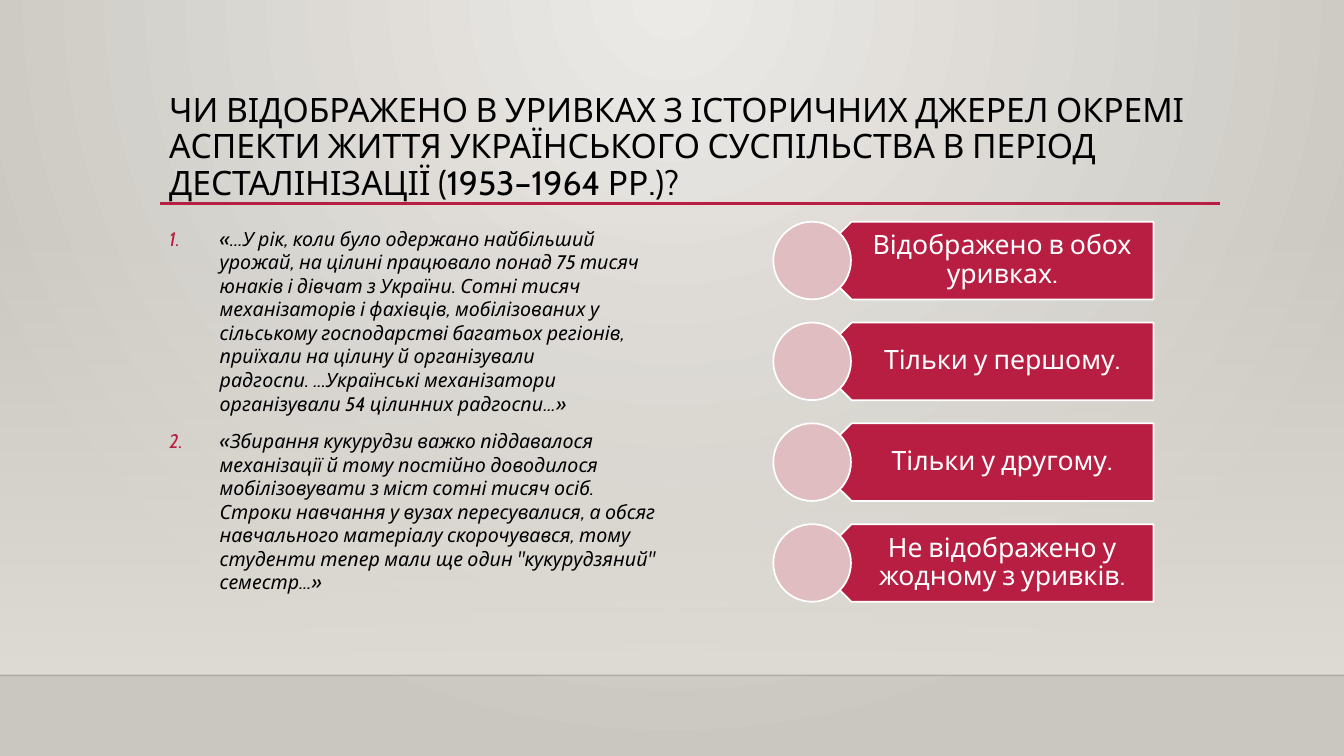
from lxml import etree
from pptx import Presentation
from pptx import util as u
from pptx.dml.color import RGBColor
from pptx.enum import shapes, text
from pptx.oxml import parse_xml
from pptx.oxml.ns import qn

TITLE = "ЧИ ВІДОБРАЖЕНО В УРИВКАХ З ІСТОРИЧНИХ ДЖЕРЕЛ ОКРЕМІ АСПЕКТИ ЖИТТЯ УКРАЇНСЬКОГО СУСПІЛЬСТВА В ПЕРІОД ДЕСТАЛІНІЗАЦІЇ (1953–1964 РР.)?"
EXCERPTS = [
    "«…У рік, коли було одержано найбільший урожай, на цілині працювало понад 75 тисяч юнаків і дівчат з України. Сотні тисяч механізаторів і фахівців, мобілізованих у сільському господарстві багатьох регіонів, приїхали на цілину й організували радгоспи. ...Українські механізатори організували 54 цілинних радгоспи...»",
    "«Збирання кукурудзи важко піддавалося механізації й тому постійно доводилося мобілізовувати з міст сотні тисяч осіб. Строки навчання у вузах пересувалися, а обсяг навчального матеріалу скорочувався, тому студенти тепер мали ще один \"кукурудзяний\" семестр...»",
]
ANSWERS = [
    "Відображено в обох уривках.",
    "Тільки у першому.",
    "Тільки у другому.",
    "Не відображено у жодному з уривків.",
]
FONT = "Cabin"
CRIMSON, PINK, WHITE, BLACK = "B71E42", "DFBDC0", "FFFFFF", "000000"
ANSWER_TOP, ANSWER_STEP, ANSWER_HEIGHT = 2.2, 1.0, 0.77
MAIN_NS = "http://schemas.openxmlformats.org/drawingml/2006/main"


def color(value):
    return RGBColor.from_string(value)


def inches(*lengths):
    return [u.Inches(length) for length in lengths]


def set_gradient(fill, parent, stops, direction):
    fill.gradient()
    stop_xml = "".join(
        f'<a:gs pos="{place * 1000}"><a:srgbClr val="{value}"><a:alpha val="{alpha * 1000}"/></a:srgbClr></a:gs>'
        for place, value, alpha in stops)
    old = parent.find(".//" + qn("a:gradFill"))
    old.getparent().replace(old, parse_xml(
        f'<a:gradFill xmlns:a="{MAIN_NS}" rotWithShape="1"><a:gsLst>{stop_xml}</a:gsLst>{direction}</a:gradFill>'))


def add_rule(slide, left, right, top, value, width, opacity=100):
    rule = slide.shapes.add_connector(shapes.MSO_CONNECTOR.STRAIGHT, *inches(left, top, right, top))
    rule.line.color.rgb = color(value)
    rule.line.width = u.Pt(width)
    properties = rule._element.spPr
    etree.SubElement(properties, qn("a:effectLst"))
    shade = properties.find(".//" + qn("a:srgbClr"))
    etree.SubElement(shade, qn("a:alpha")).set("val", str(opacity * 1000))


def add_shape(slide, kind, area, fill):
    shape = slide.shapes.add_shape(kind, *inches(*area))
    shape.shadow.inherit = False
    shape.fill.solid()
    shape.fill.fore_color.rgb = color(fill)
    shape.line.color.rgb = color(WHITE)
    shape.line.width = u.Pt(1.25)
    return shape


def add_text(slide, area, lines, size, value, italic=False, spacing=1.0):
    box = slide.shapes.add_textbox(*inches(*area))
    frame = box.text_frame
    frame.word_wrap = True
    frame.text = "\n".join(lines)
    for para in frame.paragraphs:
        para.line_spacing = spacing
        for span in para.runs:
            span.font.name = FONT
            span.font.size = u.Pt(size)
            span.font.italic = italic
            span.font.color.rgb = color(value)
    return frame


def number_paragraph(para):
    properties = para._p.get_or_add_pPr()
    properties.set("marL", str(u.Inches(0.5)))
    properties.set("indent", str(u.Inches(-0.5)))
    bullet_color = etree.SubElement(properties, qn("a:buClr"))
    etree.SubElement(bullet_color, qn("a:srgbClr")).set("val", CRIMSON)
    etree.SubElement(properties, qn("a:buFont")).set("typeface", FONT)
    etree.SubElement(properties, qn("a:buAutoNum")).set("type", "arabicPeriod")


def add_answer(slide, top, answer):
    plate = add_shape(slide, shapes.MSO_SHAPE.PENTAGON, (8.06, top, 3.38, ANSWER_HEIGHT), CRIMSON)
    plate.rotation = 180
    frame = add_text(slide, (8.25, top, 3.19, ANSWER_HEIGHT), [answer], 19, WHITE, spacing=0.9)
    frame.vertical_anchor = text.MSO_ANCHOR.MIDDLE
    frame.margin_left, frame.margin_top, frame.margin_right, frame.margin_bottom = inches(0.34, 0.08, 0.15, 0.08)
    frame.paragraphs[0].alignment = text.PP_ALIGN.CENTER
    add_shape(slide, shapes.MSO_SHAPE.OVAL, (7.67, top, ANSWER_HEIGHT, ANSWER_HEIGHT), PINK)


def main():
    deck = Presentation()
    deck.slide_width, deck.slide_height = inches(13.33, 7.5)
    page = deck.slides.add_slide(deck.slide_layouts[6])
    set_gradient(page.background.fill, page._element,
                 [(0, "ECEAE7", 100), (100, "CAC7C1", 100)],
                 '<a:path path="circle"><a:fillToRect l="43000" r="43000" b="100000"/></a:path>')

    wall = add_shape(page, shapes.MSO_SHAPE.RECTANGLE, (0, 2.21, 13.33, 4.49), WHITE)
    wall.line.fill.background()
    set_gradient(wall.fill, wall._element,
                 [(0, "DFDBD5", 0), (100, "DFDBD5", 100)], '<a:lin ang="5400000" scaled="0"/>')
    add_rule(page, 0, 13.33, 6.7, "000001", 1, 20)
    add_rule(page, 1.59, 12.1, 2.02, CRIMSON, 2.5)

    add_text(page, (1.58, 0.88, 10.5, 1.16), [TITLE], 24, BLACK, spacing=0.9)
    excerpts = add_text(page, (1.58, 2.2, 5.08, 3.77), EXCERPTS, 14, BLACK, italic=True)
    for index, para in enumerate(excerpts.paragraphs):
        para.space_before = u.Pt(10 if index else 0)
        number_paragraph(para)

    for index, answer in enumerate(ANSWERS):
        add_answer(page, ANSWER_TOP + index * ANSWER_STEP, answer)
    deck.save("out.pptx")


if __name__ == "__main__":
    main()
